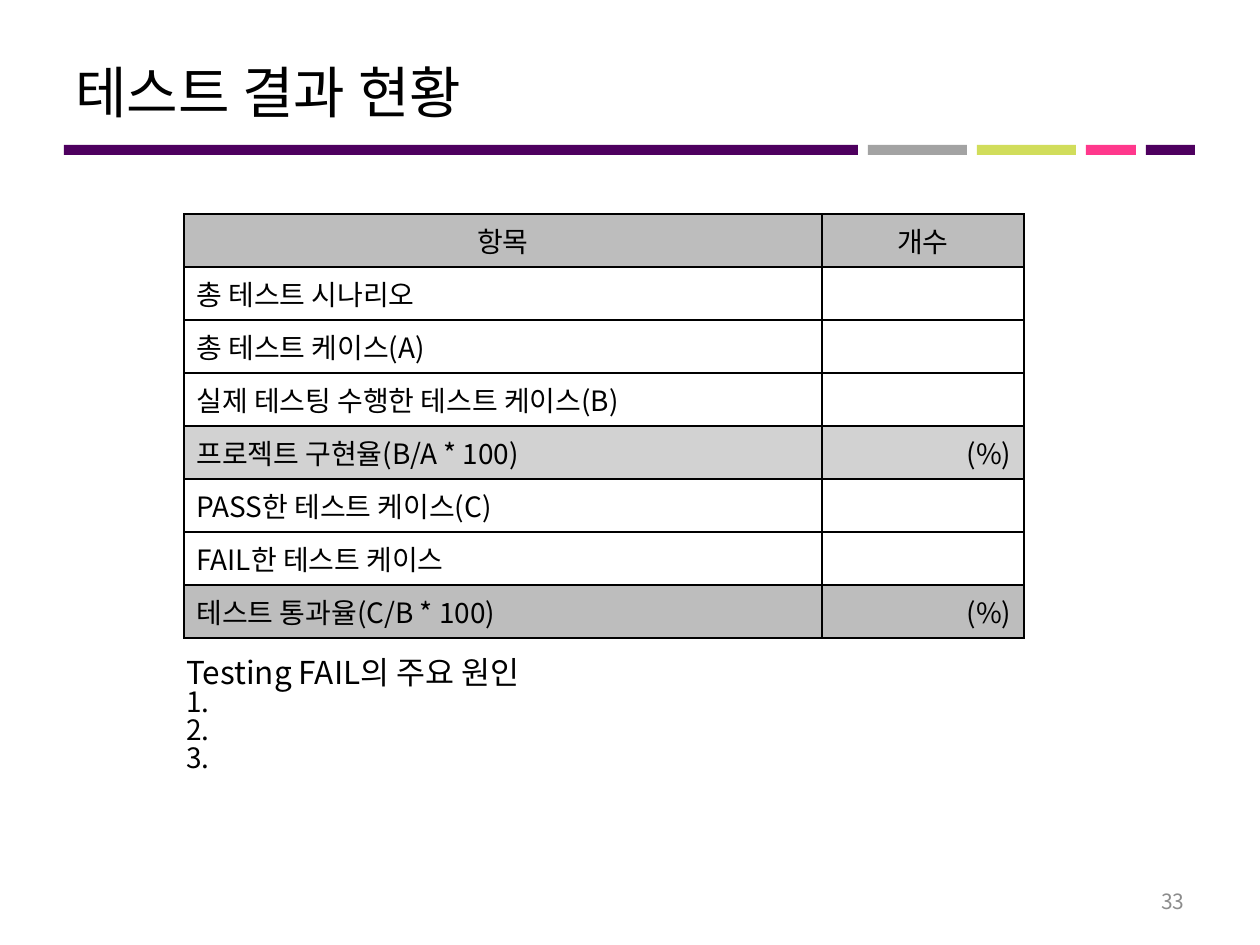
from lxml.etree import SubElement
from pptx import Presentation
from pptx.dml.color import RGBColor
from pptx.enum.shapes import MSO_SHAPE as Shape
from pptx.enum.text import MSO_ANCHOR as Anchor, PP_ALIGN as Align
from pptx.oxml.ns import qn
from pptx.util import Emu, Pt

PX = 914400 // 126
FONT = "Noto Sans CJK KR"
BLACK = RGBColor(0x00, 0x00, 0x00)
PURPLE = RGBColor(0x4E, 0x00, 0x5F)
GRAY = RGBColor(0xA3, 0xA3, 0xA3)
LIME = RGBColor(0xD1, 0xDD, 0x5B)
PINK = RGBColor(0xFF, 0x38, 0x8C)
NUMBER_GRAY = RGBColor(0x8C, 0x8C, 0x8C)
HEADER_GRAY = RGBColor(0xBD, 0xBD, 0xBD)
RATE_GRAY = RGBColor(0xD2, 0xD2, 0xD2)

STRIPES = [(64, 794, PURPLE), (868, 99, GRAY), (977, 99, LIME),
           (1086, 50, PINK), (1146, 49, PURPLE)]
ROWS = [
    ("항목", "개수", HEADER_GRAY),
    ("총 테스트 시나리오", "", None),
    ("총 테스트 케이스(A)", "", None),
    ("실제 테스팅 수행한 테스트 케이스(B)", "", None),
    ("프로젝트 구현율(B/A * 100)", "(%)", RATE_GRAY),
    ("PASS한 테스트 케이스(C)", "", None),
    ("FAIL한 테스트 케이스", "", None),
    ("테스트 통과율(C/B * 100)", "(%)", HEADER_GRAY),
]


def px(*lengths):
    return [Emu(length * PX) for length in lengths]


def write(para, text, size=16, color=BLACK, align=Align.LEFT, spacing=None):
    para.alignment = align
    if spacing:
        para.line_spacing = spacing
    if not text:
        # An empty paragraph takes its height from its end mark.
        SubElement(para._p, qn("a:endParaRPr"), sz=str(size * 100))
        return
    span = para.add_run()
    span.text = text
    span.font.size = Pt(size)
    span.font.name = FONT
    span.font.color.rgb = color
    SubElement(span._r.get_or_add_rPr(), qn("a:ea"), typeface=FONT)


def add_borders(cell, color=BLACK, width=1):
    props = cell._tc.get_or_add_tcPr()
    for side in ("lnL", "lnR", "lnT", "lnB"):
        line = SubElement(props, qn(f"a:{side}"), w=str(Pt(width)))
        fill = SubElement(line, qn("a:solidFill"))
        SubElement(fill, qn("a:srgbClr"), val=str(color))


class SlideBuilder:
    def __init__(self, page):
        self.page = page

    def bar(self, left, top, width, height, color):
        bar = self.page.shapes.add_shape(
            Shape.RECTANGLE, *px(left, top, width, height))
        bar.shadow.inherit = False
        bar.fill.solid()
        bar.fill.fore_color.rgb = color
        bar.line.fill.background()

    def text(self, left, top, width, height, lines, anchor=Anchor.MIDDLE,
             **style):
        """Add a text box; lines holds (text, size) pairs."""
        box = self.page.shapes.add_textbox(*px(left, top, width, height))
        frame = box.text_frame
        frame.word_wrap = True
        frame.vertical_anchor = anchor
        for index, (text, size) in enumerate(lines):
            para = frame.add_paragraph() if index else frame.paragraphs[0]
            write(para, text, size, **style)

    def table(self, left, top, widths, row_height, rows):
        frame = self.page.shapes.add_table(
            len(rows), len(widths),
            *px(left, top, sum(widths), row_height * len(rows)))
        table = frame.table
        for column, width in zip(table.columns, px(*widths)):
            column.width = width
        for row_index, (*texts, color) in enumerate(rows):
            table.rows[row_index].height = Emu(row_height * PX)
            aligns = (Align.LEFT, Align.RIGHT) if row_index else (Align.CENTER,) * 2
            for column_index, (text, align) in enumerate(zip(texts, aligns)):
                cell = table.cell(row_index, column_index)
                add_borders(cell)
                if color is None:
                    cell.fill.background()
                else:
                    cell.fill.solid()
                    cell.fill.fore_color.rgb = color
                write(cell.text_frame.paragraphs[0], text, align=align)


def main():
    deck = Presentation()
    deck.slide_width, deck.slide_height = px(1260, 945)
    slide = SlideBuilder(deck.slides.add_slide(deck.slide_layouts[6]))
    for left, width, color in STRIPES:
        slide.bar(left, 145, width, 10, color)
    slide.text(63, 38, 1134, 107, [("테스트 결과 현황", 32)])
    slide.text(903, 876, 294, 50, [("33", 12)],
               color=NUMBER_GRAY, align=Align.RIGHT)
    slide.table(184, 214, [638, 202], 53, ROWS)
    causes = [("Testing FAIL의 주요 원인", 18)]
    causes += [(f"{number}.", 16) for number in range(1, 4)]
    slide.text(174, 653, 377, 152, causes, anchor=Anchor.TOP, spacing=0.83)
    deck.save("out.pptx")


if __name__ == "__main__":
    main()
